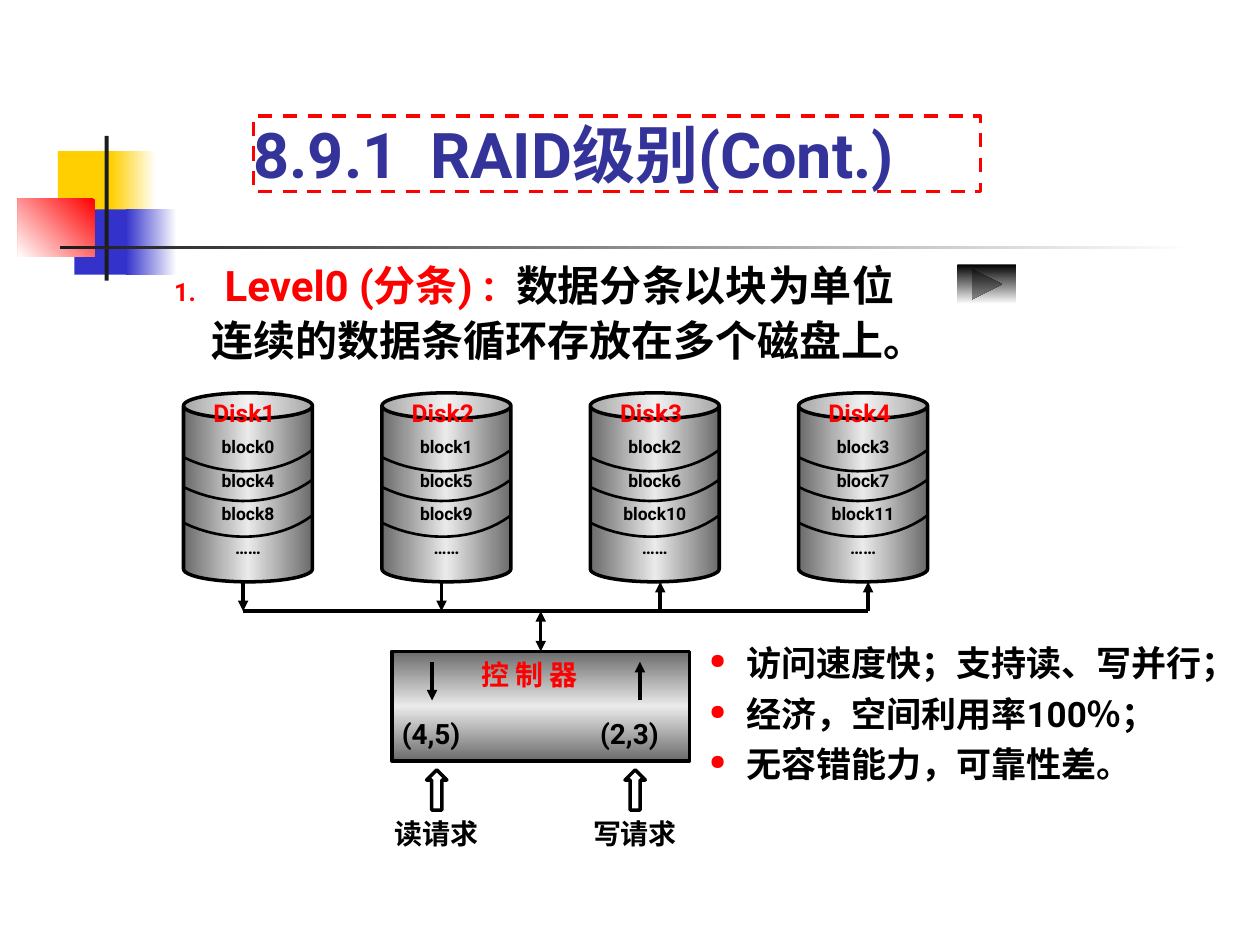
import copy
import pptx
import pptx.util
import pptx.dml.color
import pptx.enum.dml
import pptx.enum.shapes
import pptx.enum.text
import pptx.oxml
import pptx.oxml.ns

Cm, Pt = pptx.util.Cm, pptx.util.Pt
hue = pptx.dml.color.RGBColor.from_string
kind = pptx.enum.shapes.MSO_SHAPE
LEFT = pptx.enum.text.PP_ALIGN.LEFT
MID = pptx.enum.text.PP_ALIGN.CENTER
NS = pptx.oxml.ns.nsdecls("a")
RED, BLACK, WHITE, DARK = "FF0000", "000000", "FFFFFF", "1C1C1C"
STEEL = ["6B6B6B", "EAEAEA", "6B6B6B"]


def paint(shape, tones, turn=0, edge=0):
    """Fill with evenly spaced tones, turned clockwise; edge is the black line's width."""
    shape.shadow.inherit = False
    if not tones:
        shape.fill.background()
    elif len(tones) == 1:
        shape.fill.solid()
        shape.fill.fore_color.rgb = hue(tones[0])
    else:
        shape.fill.gradient()
        shape.fill.gradient_angle = (360 - turn) % 360
        stops = shape._element.spPr.find(".//" + pptx.oxml.ns.qn("a:gsLst"))
        for extra in tones[2:]:
            stops.append(copy.deepcopy(stops[0]))
        for i, stop in enumerate(shape.fill.gradient_stops):
            stop.position = i / (len(tones) - 1)
            stop.color.rgb = hue(tones[i])
    if edge:
        shape.line.color.rgb = hue(BLACK)
        shape.line.width = Pt(edge)
    else:
        shape.line.fill.background()


def write(para, text, size, tone):
    run = para.add_run()
    run.text = text
    run.font.name = "Roboto"
    run.font.size = Pt(size)
    run.font.bold = True
    run.font.color.rgb = hue(tone)


deck = pptx.Presentation()
deck.slide_width, deck.slide_height = Cm(25.4), Cm(19.05)
slide = deck.slides.add_slide(deck.slide_layouts[5])
shapes = slide.shapes

# Corner squares and rules
for x, y, w, h, tones, turn in [
    (1.17, 3.05, 1.22, 1.32, ["FFCF01"], 0),
    (2.24, 3.05, 0.91, 1.32, [WHITE, "FFCF01"], 180),
    (1.5, 4.22, 1.17, 1.32, ["3333CC"], 0),
    (2.54, 4.22, 1.02, 1.32, [WHITE, "3333CC"], 180),
    (0.36, 4.01, 1.55, 1.17, [RED, WHITE], 135),
    (2.11, 2.74, 0.08, 2.92, [DARK], 0),
    (1.22, 4.95, 22.86, 0.08, [WHITE, DARK], 180),
]:
    paint(shapes.add_shape(kind.RECTANGLE, Cm(x), Cm(y), Cm(w), Cm(h)), tones, turn)

# Title
title = shapes.title
title.left, title.top, title.width, title.height = Cm(5.11), Cm(2.34), Cm(14.66), Cm(1.52)
title.line.color.rgb = hue(RED)
title.line.width = Pt(2)
title.line.dash_style = pptx.enum.dml.MSO_LINE.DASH
frame = title.text_frame
frame.auto_size = pptx.enum.text.MSO_AUTO_SIZE.NONE
frame.margin_left = frame.margin_right = frame.margin_top = frame.margin_bottom = 0
frame.vertical_anchor = pptx.enum.text.MSO_ANCHOR.BOTTOM
head = frame.paragraphs[0]
head.alignment = LEFT
tabs = f'<a:tabLst {NS}><a:tab pos="{Cm(3.56)}" algn="l"/></a:tabLst>'
head._p.get_or_add_pPr().append(pptx.oxml.parse_xml(tabs))
write(head, "8.9.1\tRAID级别(Cont.)", 36, "333399")

# Lists: box, line spacing, space before, paragraphs of (margin, indent, bullet, runs)
number = '<a:buAutoNum {} type="arabicPeriod"/>'
dot = '<a:buChar {} char="●"/>'
level = [("Level0 (分条) : ", RED), (" 数据分条以块为单位", BLACK)]
points = ["访问速度快；支持读、写并行；", "经济，空间利用率100％；", "无容错能力，可靠性差。"]
for x, y, w, h, size, lead, gap, items in [
    (3.51, 5.13, 16.79, 2.24, 24, 1.1, 0, [
        (1.02, -1.02, number, level),
        (0.76, 0, None, [("连续的数据条循环存放在多个磁盘上。", BLACK)])]),
    (14.3, 12.93, 10.8, 2.9, 20, 1, 5,
     [(0.74, -0.74, dot, [(point, BLACK)]) for point in points]),
]:
    frame = shapes.add_textbox(Cm(x), Cm(y), Cm(w), Cm(h)).text_frame
    frame.word_wrap = True
    frame.margin_left = frame.margin_right = frame.margin_top = frame.margin_bottom = 0
    for i, (margin, indent, mark, runs) in enumerate(items):
        para = frame.add_paragraph() if i else frame.paragraphs[0]
        props = para._p.get_or_add_pPr()
        props.set("marL", str(Cm(margin)))
        props.set("indent", str(Cm(indent)))
        if mark:
            color = f'<a:buClr {NS}><a:srgbClr val="{RED}"/></a:buClr>'
            for xml in (color, f'<a:buSzPct {NS} val="60000"/>', mark.format(NS)):
                props.append(pptx.oxml.parse_xml(xml))
        para.line_spacing = lead
        if i:
            para.space_before = Pt(gap)
        for text, tone in runs:
            write(para, text, size, tone)

# Disks, with their curved block borders
disks = [3.7, 7.7, 11.9, 16.1]
labels = []
for n, x in enumerate(disks):
    disk = shapes.add_shape(kind.CAN, Cm(x), Cm(7.92), Cm(2.6), Cm(3.81))
    disk.adjustments[0] = 0.2
    paint(disk, STEEL, 180, 2)
    frame = disk.text_frame
    frame.word_wrap = False
    frame.vertical_anchor = pptx.enum.text.MSO_ANCHOR.MIDDLE
    frame.margin_left = frame.margin_right = Cm(0.25)
    frame.margin_top, frame.margin_bottom = 0, Cm(0.13)
    for i, text in enumerate([f"block{n + step}" for step in (0, 4, 8)] + ["……"]):
        para = frame.add_paragraph() if i else frame.paragraphs[0]
        para.alignment = MID
        para.line_spacing = 1.6
        write(para, text, 10, BLACK)
    for y in (9.07, 9.67, 10.39):
        dots = []
        for step in range(17):
            t = step / 16
            s = 1 - t
            across = 2.6 * s**3 + 3 * 1.9 * s * s * t + 3 * 0.84 * s * t * t
            down = 3 * 0.53 * s * s * t + 3 * 0.56 * s * t * t + 0.15 * t**3
            dots.append((Cm(x + across), Cm(y + down)))
        arc = shapes.build_freeform(*dots[0])
        arc.add_line_segments(dots[1:], close=False)
        paint(arc.convert_to_shape(), [], edge=1.5)
    labels.append((f"Disk{n + 1}", x + 0.6, 8.03, 1.4, 0.58, 14, RED, LEFT))

# Controller
unit = shapes.add_shape(kind.RECTANGLE, Cm(7.9), Cm(13.13), Cm(6), Cm(2.21))
paint(unit, STEEL, 90, 2)
labels.append(("控 制 器", 9.7, 13.26, 2.21, 0.69, 16, RED, LEFT))
for x, pair, ask in [(7.9, "(4,5)", "读请求"), (11.9, "(2,3)", "写请求")]:
    arrow = shapes.add_shape(kind.UP_ARROW, Cm(x + 0.7), Cm(15.52), Cm(0.41), Cm(0.81))
    paint(arrow, [], edge=2)
    labels.append((pair, x + 0.2, 14.45, 1.6, 0.69, 16, BLACK, LEFT))
    labels.append((ask, x, 16.46, 1.8, 0.69, 16, BLACK, MID))

for text, x, y, w, h, size, tone, align in labels:
    frame = shapes.add_textbox(Cm(x), Cm(y), Cm(w), Cm(h)).text_frame
    frame.word_wrap = True
    frame.margin_left = frame.margin_right = frame.margin_top = frame.margin_bottom = 0
    frame.paragraphs[0].alignment = align
    write(frame.paragraphs[0], text, size, tone)

# Bus and data flow
bus, foot = 12.32, 11.73
for x1, y1, x2, y2, ends in [
    (4.9, foot, 4.9, bus, ["tailEnd"]),
    (8.9, foot, 8.9, bus, ["tailEnd"]),
    (13.31, bus, 13.31, foot, ["tailEnd"]),
    (17.5, bus, 17.5, foot, ["tailEnd"]),
    (4.9, bus, 17.5, bus, []),
    (10.9, bus, 10.9, 13.13, ["headEnd", "tailEnd"]),
    (8.71, 13.34, 8.71, 14.12, ["tailEnd"]),
    (12.9, 14.12, 12.9, 13.34, ["tailEnd"]),
]:
    wire = shapes.add_connector(pptx.enum.shapes.MSO_CONNECTOR.STRAIGHT,
                                Cm(x1), Cm(y1), Cm(x2), Cm(y2))
    wire.line.color.rgb = hue(BLACK)
    wire.line.width = Pt(2)
    for end in ends:
        wire.line._get_or_add_ln().append(
            pptx.oxml.parse_xml(f'<a:{end} {NS} type="triangle"/>'))
    wire._element.spPr.append(pptx.oxml.parse_xml(f"<a:effectLst {NS}/>"))
    if len(ends) == 2:
        wire.end_connect(unit, 0)

# Next button
button = shapes.add_shape(kind.ACTION_BUTTON_FORWARD_OR_NEXT,
                          Cm(19.3), Cm(5.33), Cm(1.19), Cm(0.8))
paint(button, [BLACK, "FEFEFE"], 90)

deck.save("out.pptx")
